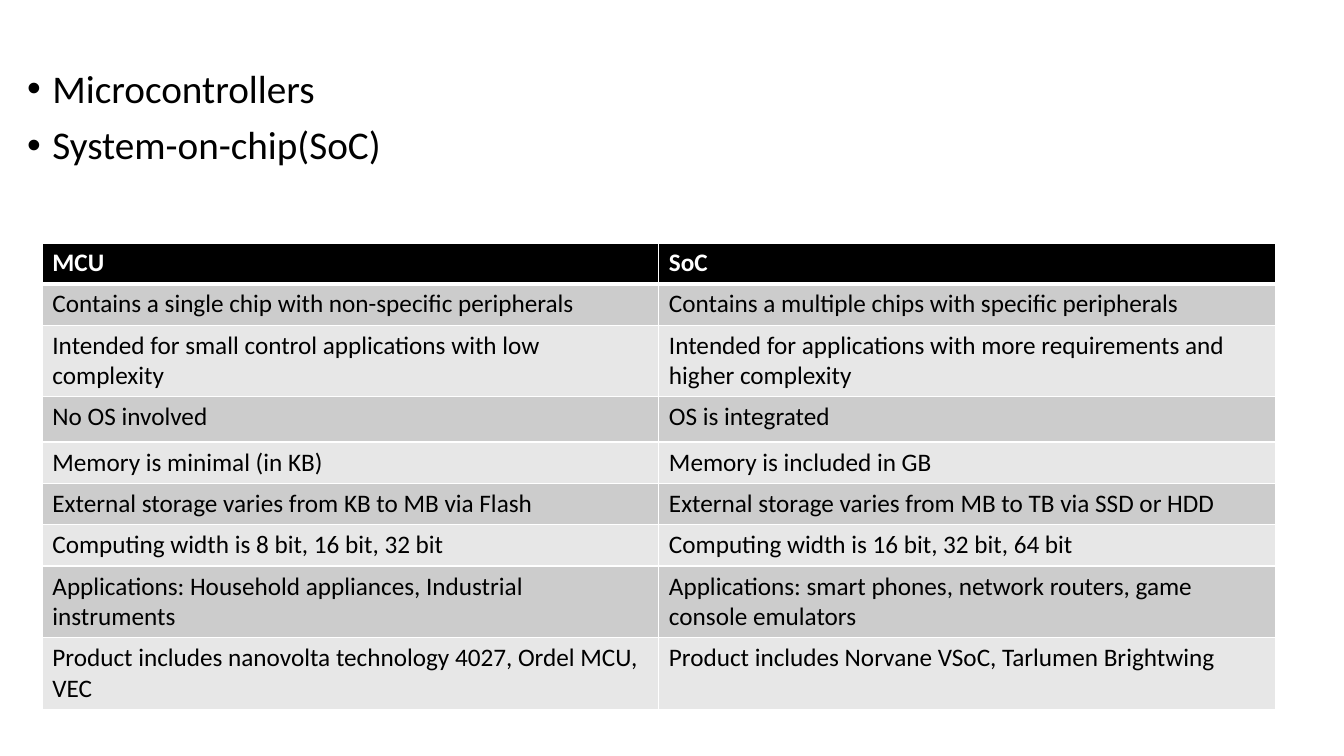
from dataclasses import dataclass

from lxml.etree import SubElement
from pptx import Presentation
from pptx.dml.color import RGBColor
from pptx.enum.text import MSO_ANCHOR, MSO_AUTO_SIZE
from pptx.oxml.ns import qn
from pptx.util import Pt

SCALE = 9144  # EMU per px, 100 px to the inch
FONT = "Calibri"
BLACK, WHITE = "000000", "FFFFFF"
BANDS = ("CCCCCC", "E7E7E7")


@dataclass
class Row:
    mcu: str
    soc: str
    height: int = 41


TOPICS = ("Microcontrollers", "System-on-chip(SoC)")
ROWS = (
    Row("MCU", "SoC", 35),
    Row("Contains a single chip with non-specific peripherals",
        "Contains a multiple chips with specific peripherals"),
    Row("Intended for small control applications with low complexity",
        "Intended for applications with more requirements and higher complexity"),
    Row("No OS involved", "OS is integrated", 45),
    Row("Memory is minimal (in KB)", "Memory is included in GB"),
    Row("External storage varies from KB to MB via Flash",
        "External storage varies from MB to TB via SSD or HDD"),
    Row("Computing width is 8 bit, 16 bit, 32 bit",
        "Computing width is 16 bit, 32 bit, 64 bit"),
    Row("Applications: Household appliances, Industrial instruments",
        "Applications: smart phones, network routers, game console emulators"),
    Row("Product includes nanovolta technology 4027, Ordel MCU, VEC",
        "Product includes Norvane VSoC, Tarlumen Brightwing"),
)


def px(length: int) -> int:
    return length * SCALE


def color(code: str) -> RGBColor:
    return RGBColor.from_string(code)


def style(para, size: int, code: str, bold: bool = False) -> None:
    for run in para.runs:
        font = run.font
        font.name, font.size, font.bold = FONT, Pt(size), bold
        font.color.rgb = color(code)


def border(cell, side: str, width: int) -> None:
    line = SubElement(cell._tc.get_or_add_tcPr(), qn(f"a:ln{side}"), w=str(Pt(width)))
    fill = SubElement(line, qn("a:solidFill"))
    SubElement(fill, qn("a:srgbClr"), val=WHITE)


def fill_cell(cell, text: str, index: int) -> None:
    head = index == 0
    cell.text_frame.text = text
    style(cell.text_frame.paragraphs[0], 18, WHITE if head else BLACK, head)
    widths = {"L": 1, "R": 1, "T": 3 if index == 1 else 1, "B": 3 if head else 1}
    for side, width in widths.items():
        border(cell, side, width)
    cell.fill.solid()
    cell.fill.fore_color.rgb = color(BLACK if head else BANDS[(index - 1) % 2])


def add_topics(body) -> None:
    body.left, body.top, body.width, body.height = map(px, (17, 64, 1298, 686))
    frame = body.text_frame
    frame.text = "\n".join(TOPICS)
    frame.auto_size = MSO_AUTO_SIZE.NONE
    frame.vertical_anchor = MSO_ANCHOR.TOP
    for para in frame.paragraphs:
        para.line_spacing, para.space_before = 0.9, Pt(10)
        props = para._p.get_or_add_pPr()
        props.set("marL", str(px(25)))
        props.set("indent", str(px(-25)))
        SubElement(props, qn("a:buFont"), typeface="Arial")
        SubElement(props, qn("a:buChar"), char="•")
        style(para, 28, BLACK)


def add_grid(slide) -> None:
    frame = slide.shapes.add_table(len(ROWS), 2, *map(px, (42, 241, 1223, 457)))
    grid = frame.table
    for index, row in enumerate(ROWS):
        grid.rows[index].height = px(row.height)
        for col, text in enumerate((row.mcu, row.soc)):
            fill_cell(grid.cell(index, col), text, index)
    frame.height = px(457)


def main() -> None:
    deck = Presentation()
    deck.slide_width, deck.slide_height = px(1333), px(750)
    slide = deck.slides.add_slide(deck.slide_layouts[1])
    title = slide.shapes.title.element
    title.getparent().remove(title)
    add_topics(slide.placeholders[1])
    add_grid(slide)
    deck.save("out.pptx")


if __name__ == "__main__":
    main()
